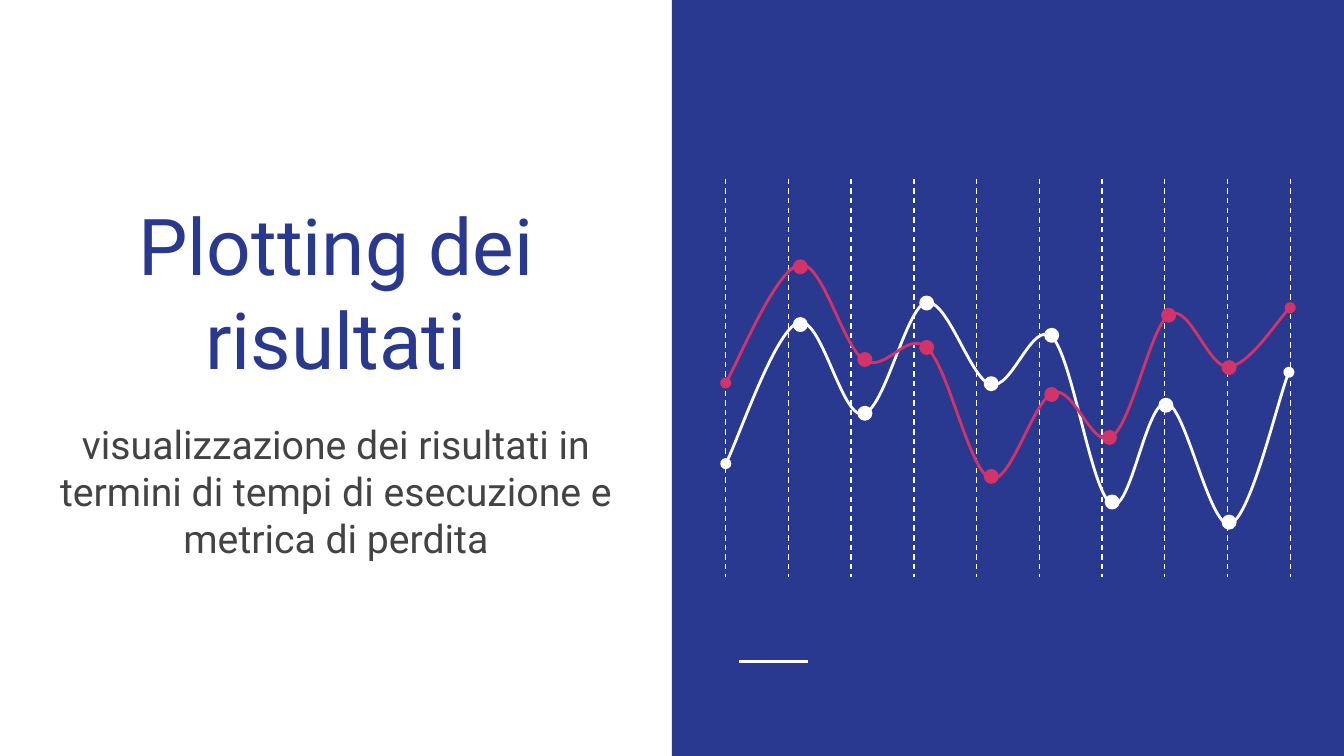
from dataclasses import dataclass

from lxml import etree
from pptx import Presentation
from pptx.dml.color import RGBColor
from pptx.enum.dml import MSO_LINE
from pptx.enum.shapes import MSO_CONNECTOR, MSO_SHAPE
from pptx.enum.text import MSO_ANCHOR as Anchor, MSO_AUTO_SIZE, PP_ALIGN
from pptx.oxml.ns import qn
from pptx.util import Inches, Pt


@dataclass(frozen=True)
class Theme:
    font: str = "Roboto"
    blue: RGBColor = RGBColor(0x2A, 0x39, 0x90)
    pink: RGBColor = RGBColor(0xD2, 0x33, 0x69)
    white: RGBColor = RGBColor(0xFF, 0xFF, 0xFF)
    grey: RGBColor = RGBColor(0x43, 0x43, 0x43)
    title_size: int = 42
    subtitle_size: int = 21
    curve_width: float = 1.5
    grid_width: float = 0.75


THEME = Theme()
# Widescreen, 16 to 9
WIDTH = 10
HEIGHT = WIDTH * 9 / 16
HALF = WIDTH / 2
TEXT_WIDTH = 4.42
TEXT_LEFT = (HALF - TEXT_WIDTH) / 2

# Dashed grid: equal columns across the right half
GRID_LEFT, GRID_RIGHT, GRID_TOP, GRID_BOTTOM = 5.4, 9.6, 1.33, 4.29
GRID_LINES = 10
DOT = 0.09

# Each curve: start point, then two control points and an end point per segment
WHITE_CURVE = [
    (5.4, 3.45),
    (5.49, 3.28), (5.77, 2.46), (5.94, 2.4),
    (6.11, 2.34), (6.26, 3.11), (6.42, 3.08),
    (6.58, 3.06), (6.74, 2.29), (6.89, 2.25),
    (7.05, 2.22), (7.22, 2.82), (7.37, 2.86),
    (7.53, 2.91), (7.68, 2.37), (7.83, 2.51),
    (7.98, 2.66), (8.12, 3.67), (8.27, 3.75),
    (8.41, 3.83), (8.53, 2.97), (8.68, 3),
    (8.82, 3.02), (9, 3.93), (9.15, 3.9),
    (9.3, 3.86), (9.51, 2.96), (9.59, 2.77),
]
PINK_CURVE = [
    (5.4, 2.85),
    (5.49, 2.7), (5.78, 2), (5.95, 1.97),
    (6.12, 1.94), (6.27, 2.58), (6.43, 2.68),
    (6.59, 2.78), (6.75, 2.45), (6.9, 2.59),
    (7.06, 2.74), (7.21, 3.5), (7.37, 3.56),
    (7.52, 3.61), (7.69, 2.97), (7.84, 2.92),
    (7.99, 2.87), (8.13, 3.35), (8.27, 3.25),
    (8.42, 3.16), (8.56, 2.43), (8.7, 2.34),
    (8.85, 2.25), (8.99, 2.74), (9.14, 2.73),
    (9.29, 2.72), (9.52, 2.36), (9.6, 2.29),
]
# Top left corner of each dot
WHITE_DOTS = [(5.91, 2.37), (6.39, 3.03), (6.85, 2.21), (7.33, 2.81),
              (7.78, 2.45), (8.23, 3.69), (8.63, 2.97), (9.1, 3.84)]
PINK_DOTS = [(5.91, 1.94), (6.39, 2.63), (6.85, 2.54), (7.33, 3.5),
             (7.78, 2.89), (8.21, 3.21), (8.65, 2.3), (9.1, 2.69)]


def place(shape, left, top, width, height):
    shape.left, shape.top = Inches(left), Inches(top)
    shape.width, shape.height = Inches(width), Inches(height)


def write_text(shape, text, size, color, anchor):
    frame = shape.text_frame
    frame.word_wrap = True
    frame.auto_size = MSO_AUTO_SIZE.NONE
    frame.vertical_anchor = anchor
    frame.margin_left = frame.margin_right = Inches(0.1)
    frame.margin_top = frame.margin_bottom = Inches(0.1)
    paragraph = frame.paragraphs[0]
    paragraph.text = text
    paragraph.alignment = PP_ALIGN.CENTER
    paragraph.font.name = THEME.font
    paragraph.font.size = Pt(size)
    paragraph.font.color.rgb = color


def add_filled(shapes, kind, left, top, width, height, color):
    shape = shapes.add_shape(kind, Inches(left), Inches(top), Inches(width), Inches(height))
    shape.shadow.inherit = False
    shape.fill.solid()
    shape.fill.fore_color.rgb = color
    shape.line.fill.background()
    return shape


def add_line(shapes, start, end, width, dash=None):
    line = shapes.add_connector(MSO_CONNECTOR.STRAIGHT, *map(Inches, start + end))
    line.line.color.rgb = THEME.white
    line.line.width = Pt(width)
    if dash:
        line.line.dash_style = dash
    etree.SubElement(line._element.spPr, qn("a:effectLst"))


def add_curve(shapes, points, color):
    builder = shapes.build_freeform(*map(Inches, points[0]), scale=1.0)
    builder.add_line_segments([tuple(map(Inches, point)) for point in points[1:]], close=False)
    curve = builder.convert_to_shape()
    curve.shadow.inherit = False
    curve.fill.background()
    curve.line.color.rgb = color
    curve.line.width = Pt(THEME.curve_width)

    # Every three straight segments become one Bezier segment
    outline = next(curve._element.iter(qn("a:path")))
    segments = outline.findall(qn("a:lnTo"))
    for first in range(0, len(segments), 3):
        bezier = etree.SubElement(outline, qn("a:cubicBezTo"))
        for segment in segments[first:first + 3]:
            bezier.append(segment[0])
            outline.remove(segment)

    # Round ends
    for end in ("a:headEnd", "a:tailEnd"):
        etree.SubElement(curve.line._get_or_add_ln(), qn(end), type="oval")


def add_series(slide, points, dots, color):
    shapes = slide.shapes.add_group_shape().shapes
    add_curve(shapes, points, color)
    for left, top in dots:
        dot = add_filled(shapes, MSO_SHAPE.OVAL, left, top, DOT, DOT, color)
        dot.line.color.rgb = color
        dot.line.width = Pt(THEME.curve_width)


def add_grid(slide):
    shapes = slide.shapes.add_group_shape().shapes
    step = (GRID_RIGHT - GRID_LEFT) / (GRID_LINES - 1)
    for column in range(GRID_LINES):
        x = GRID_LEFT + column * step
        add_line(shapes, (x, GRID_TOP), (x, GRID_BOTTOM), THEME.grid_width, MSO_LINE.DASH)


def main():
    presentation = Presentation()
    presentation.slide_width = Inches(WIDTH)
    presentation.slide_height = Inches(HEIGHT)
    slide = presentation.slides.add_slide(presentation.slide_layouts[5])

    # Right panel with its accent line
    add_filled(slide.shapes, MSO_SHAPE.RECTANGLE, HALF, 0, HALF, HEIGHT, THEME.blue)
    add_line(slide.shapes, (5.5, 4.92), (6.01, 4.92), THEME.curve_width)

    # Title and subtitle
    title = slide.shapes.title
    place(title, TEXT_LEFT, 1.26, TEXT_WIDTH, 1.71)
    write_text(title, "Plotting dei risultati", THEME.title_size, THEME.blue, Anchor.BOTTOM)
    subtitle = slide.shapes.add_textbox(0, 0, 0, 0)
    place(subtitle, TEXT_LEFT, 3.03, TEXT_WIDTH, 1.39)
    write_text(
        subtitle,
        "visualizzazione dei risultati in termini di tempi di esecuzione e metrica di perdita",
        THEME.subtitle_size, THEME.grey, Anchor.TOP)

    # Decorative line plot
    add_grid(slide)
    add_series(slide, WHITE_CURVE, WHITE_DOTS, THEME.white)
    add_series(slide, PINK_CURVE, PINK_DOTS, THEME.pink)

    presentation.save("out.pptx")


if __name__ == "__main__":
    main()
